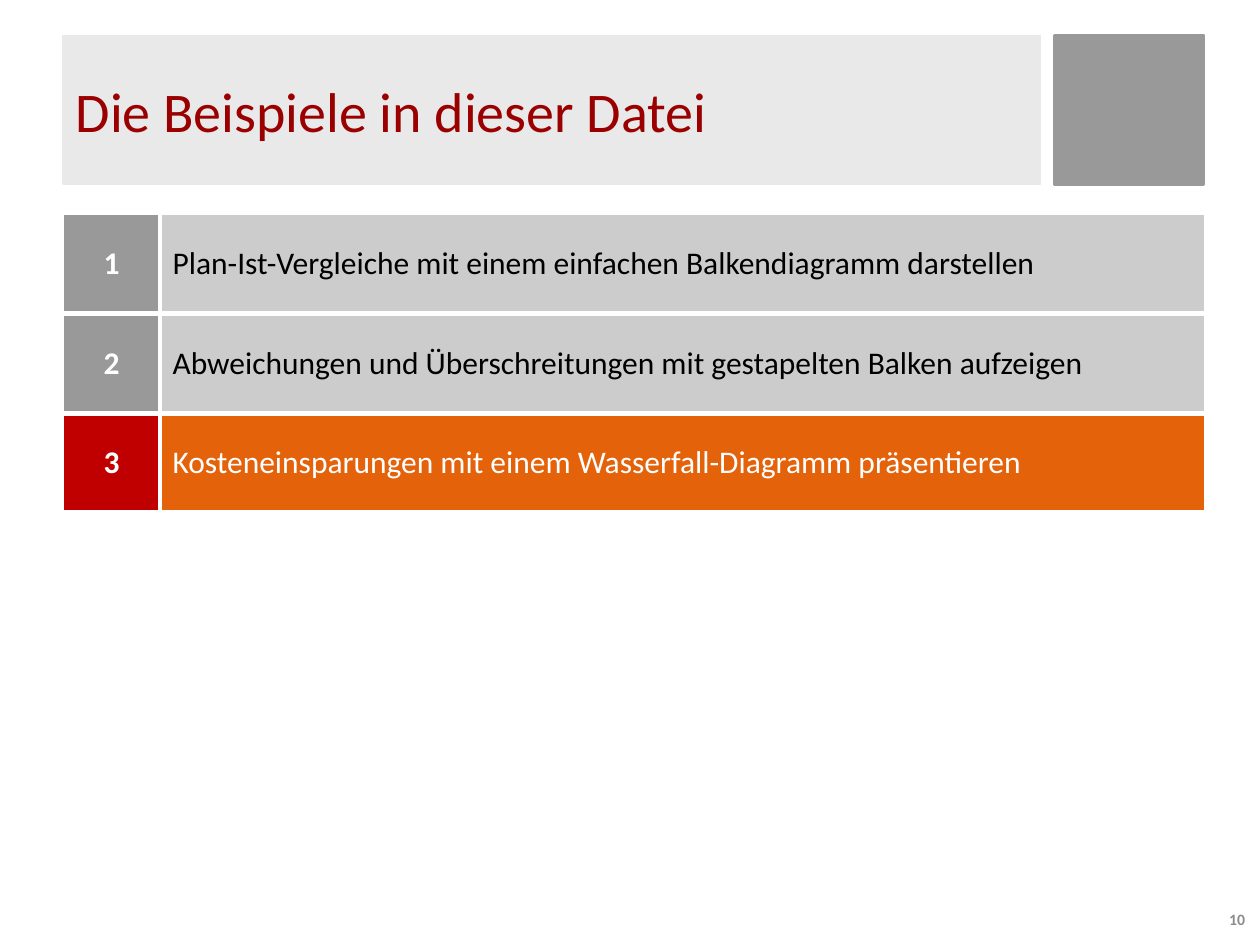
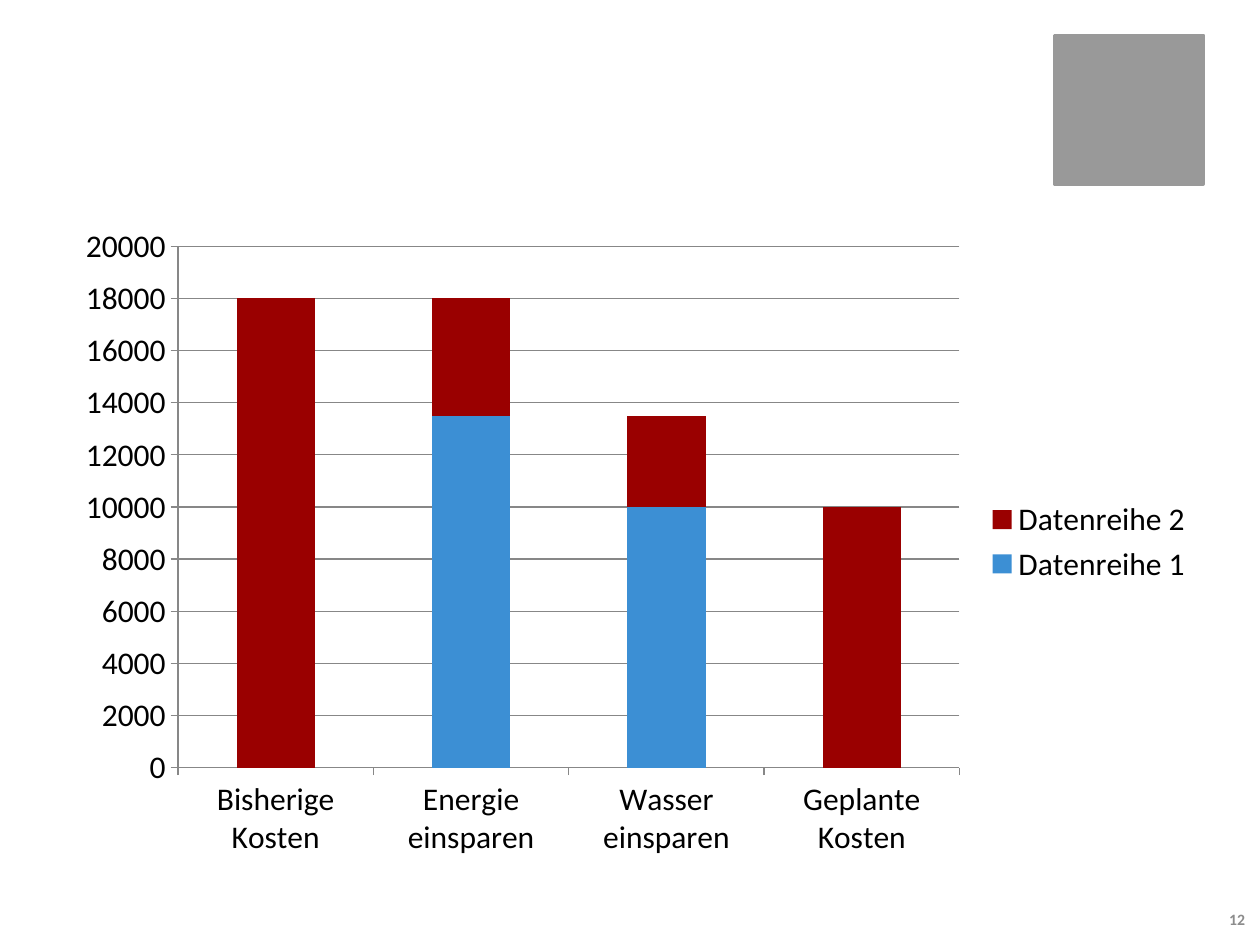
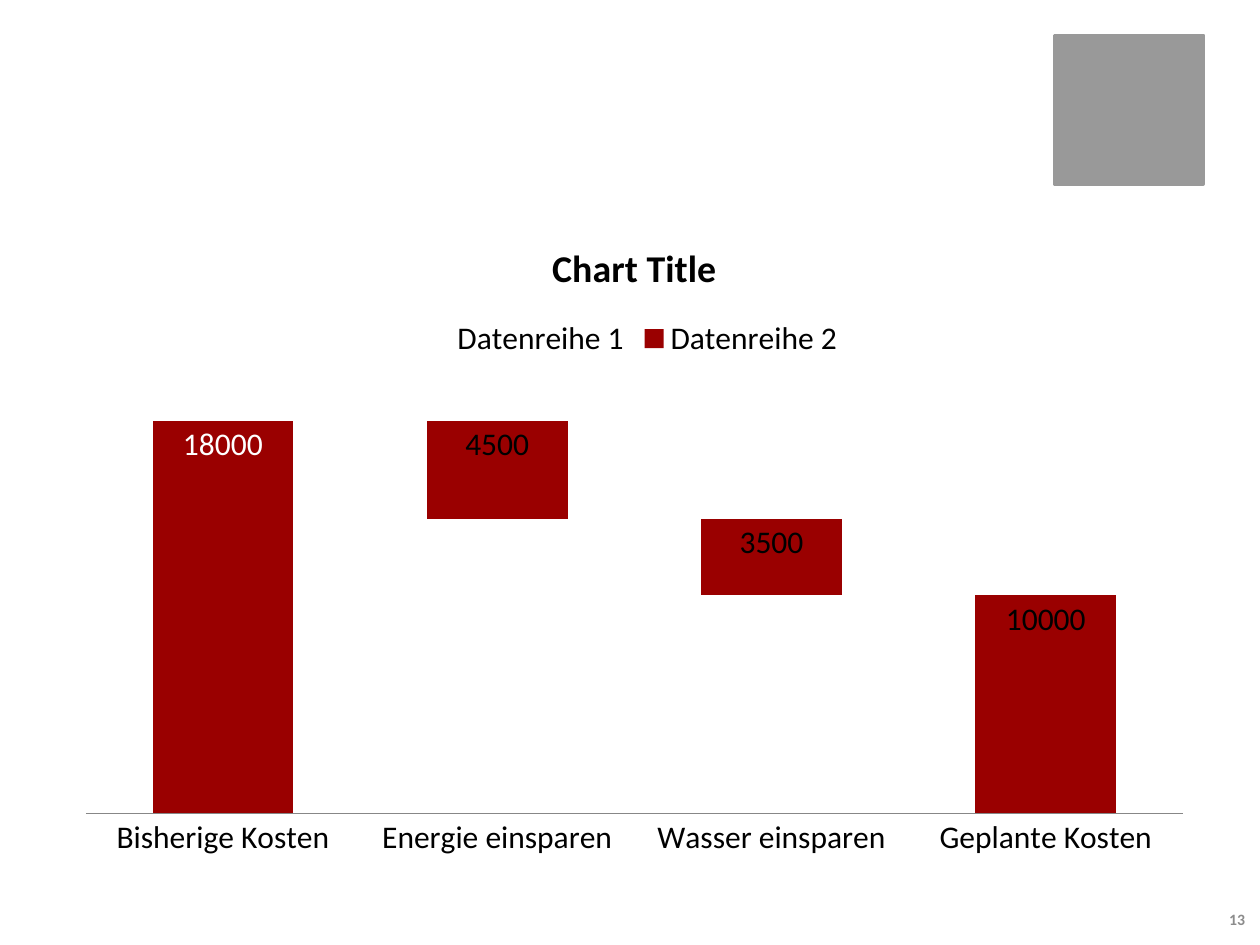
from dataclasses import dataclass

from lxml import etree
from pptx import Presentation
from pptx.chart.data import CategoryChartData
from pptx.dml.color import RGBColor
from pptx.enum.chart import XL_CHART_TYPE, XL_LABEL_POSITION, XL_LEGEND_POSITION, XL_TICK_MARK
from pptx.enum.shapes import MSO_SHAPE
from pptx.enum.text import MSO_ANCHOR, PP_ALIGN
from pptx.oxml.ns import qn
from pptx.util import Inches, Pt

STACKED = XL_CHART_TYPE.COLUMN_STACKED
INSIDE_END = XL_LABEL_POSITION.INSIDE_END
LEGEND_RIGHT, LEGEND_TOP = XL_LEGEND_POSITION.RIGHT, XL_LEGEND_POSITION.TOP
TICK_NONE, TICK_OUT = XL_TICK_MARK.NONE, XL_TICK_MARK.OUTSIDE
RECT = MSO_SHAPE.RECTANGLE
MIDDLE = MSO_ANCHOR.MIDDLE
LEFT, CENTER, RIGHT = PP_ALIGN.LEFT, PP_ALIGN.CENTER, PP_ALIGN.RIGHT
TITLE_ONLY, BLANK = 5, 6


@dataclass(frozen=True)
class Theme:
    font: str = "Calibri"
    red: str = "9A0000"
    bright_red: str = "C00000"
    orange: str = "E3620A"
    blue: str = "3C8FD4"
    black: str = "000000"
    white: str = "FFFFFF"
    dark_grey: str = "999999"
    mid_grey: str = "CCCCCC"
    light_grey: str = "E9E9E9"
    number_grey: str = "8C8C8C"
    axis_grey: str = "878787"
    title_size: float = 32
    chart_title_size: float = 21.6
    text_size: float = 18
    number_size: float = 9


THEME = Theme()
TITLE_BOX = (0.5, 0.28, 7.76, 1.18)
SQUARE_BOX = (8.37, 0.28, 1.18, 1.18)
CONTENT_BOX = (0.5, 1.7, 9.07, 5.2)
NUMBER_BOX = (9.18, 7.14, 0.8, 0.31)

AGENDA = [
    "Plan-Ist-Vergleiche mit einem einfachen Balkendiagramm darstellen",
    "Abweichungen und Überschreitungen mit gestapelten Balken aufzeigen",
    "Kosteneinsparungen mit einem Wasserfall-Diagramm präsentieren",
]
CURRENT_TOPIC = 3
AGENDA_COLUMNS = (0.77, 8.29)
AGENDA_ROW = 0.79

COST_STEPS = ["Bisherige Kosten", "Energie einsparen", "Wasser einsparen", "Geplante Kosten"]
COST_SERIES = {
    "Datenreihe 1": (0, 13500, 10000, 0),
    "Datenreihe 2": (18000, 4500, 3500, 10000),
}


def inches(box):
    return [Inches(v) for v in box]


def rgb(value):
    return RGBColor.from_string(value)


def apply(target, **values):
    for name, value in values.items():
        setattr(target, name, value)


def style_font(font, size, color, bold=False):
    apply(font, name=THEME.font, size=Pt(size), bold=bold)
    font.color.rgb = rgb(color)


def fill_solid(target, color):
    target.fill.solid()
    target.fill.fore_color.rgb = rgb(color)


def paint(sp, color, line_width):
    fill_solid(sp, color)
    sp.line.color.rgb = rgb(color)
    sp.line.width = Pt(line_width)


def write(tf, text, size, color, align=LEFT, bold=False):
    p = tf.paragraphs[0]
    p.alignment = align
    r = p.add_run()
    r.text = text
    style_font(r.font, size, color, bold)


def add_slide(prs, layout, number):
    s = prs.slides.add_slide(prs.slide_layouts[layout])
    sp = s.shapes.add_shape(RECT, *inches(SQUARE_BOX))
    sp.shadow.inherit = False
    paint(sp, THEME.dark_grey, 2)
    tf = s.shapes.add_textbox(*inches(NUMBER_BOX)).text_frame
    apply(tf, word_wrap=True, vertical_anchor=MIDDLE)
    write(tf, str(number), THEME.number_size, THEME.number_grey, RIGHT, True)
    return s


def add_title(s, text):
    sp = s.shapes.title
    left, top, width, height = inches(TITLE_BOX)
    apply(sp, left=left, top=top, width=width, height=height)
    paint(sp, THEME.light_grey, 0.75)
    sp.text_frame.vertical_anchor = MIDDLE
    write(sp.text_frame, text, THEME.title_size, THEME.red)


def set_borders(cell, **widths):
    tc_pr = cell._tc.get_or_add_tcPr()
    for i, (side, width) in enumerate(widths.items()):
        ln = etree.Element(qn(f"a:ln{side}"), w=str(Pt(width)))
        solid = etree.SubElement(ln, qn("a:solidFill"))
        etree.SubElement(solid, qn("a:srgbClr"), val=THEME.white)
        tc_pr.insert(i, ln)


def add_agenda(s, topics, current):
    left, top, width, _ = inches(CONTENT_BOX)
    rows = len(topics)
    table = s.shapes.add_table(rows, 2, left, top, width, Inches(AGENDA_ROW * rows)).table
    apply(table, first_row=False, horz_banding=False)
    for column, column_width in zip(table.columns, AGENDA_COLUMNS):
        column.width = Inches(column_width)
    for number, topic in enumerate(topics, 1):
        table.rows[number - 1].height = Inches(AGENDA_ROW)
        active = number == current
        formats = [
            (str(number), THEME.bright_red if active else THEME.dark_grey,
             THEME.white, CENTER, True),
            (topic, THEME.orange if active else THEME.mid_grey,
             THEME.white if active else THEME.black, LEFT, False),
        ]
        for col, (text, fill, color, align, bold) in enumerate(formats):
            cell = table.cell(number - 1, col)
            cell.vertical_anchor = MIDDLE
            fill_solid(cell, fill)
            write(cell.text_frame, text, THEME.text_size, color, align, bold)
            set_borders(cell, L=3 if col else 1, R=1 if col else 3,
                        T=1 if number == 1 else 3, B=3)


def add_cost_chart(s, colors, gap, legend, tick):
    data = CategoryChartData()
    data.categories = COST_STEPS
    for name, values in COST_SERIES.items():
        data.add_series(name, values)
    chart = s.shapes.add_chart(STACKED, *inches(CONTENT_BOX), data).chart
    style_font(chart.font, THEME.text_size, THEME.black)
    apply(chart, has_title=False, has_legend=True)
    apply(chart.legend, position=legend, include_in_layout=False)
    plot = chart.plots[0]
    apply(plot, gap_width=gap, overlap=100, vary_by_categories=False)
    for series, color in zip(plot.series, colors):
        if color:
            fill_solid(series.format, color)
        else:
            series.format.fill.background()
    for axis in (chart.category_axis, chart.value_axis):
        apply(axis, major_tick_mark=tick, minor_tick_mark=TICK_NONE)
        axis.format.line.color.rgb = rgb(THEME.axis_grey)
    apply(chart.value_axis, minimum_scale=0, maximum_scale=20000, major_unit=2000)
    return chart


def add_stacked_chart(s):
    chart = add_cost_chart(s, (THEME.blue, THEME.red), 150, LEGEND_RIGHT, TICK_OUT)
    chart.value_axis.major_gridlines.format.line.color.rgb = rgb(THEME.axis_grey)


def add_waterfall_chart(s):
    chart = add_cost_chart(s, (None, THEME.red), 95, LEGEND_TOP, TICK_NONE)
    chart.has_title = True
    write(chart.chart_title.text_frame, "Chart Title", THEME.chart_title_size,
          THEME.black, CENTER, True)
    chart.chart_title.include_in_layout = False
    apply(chart.value_axis, visible=False, has_major_gridlines=False)
    series = chart.plots[0].series[1]
    apply(series.data_labels, show_value=True, position=INSIDE_END)
    style_font(series.data_labels.font, THEME.text_size, THEME.black)
    first_label = series.points[0].data_label
    style_font(first_label.font, THEME.text_size, THEME.white)
    first_label.position = INSIDE_END


def main():
    prs = Presentation()
    apply(prs, slide_width=Inches(10), slide_height=Inches(7.5))
    s = add_slide(prs, TITLE_ONLY, 10)
    add_title(s, "Die Beispiele in dieser Datei")
    add_agenda(s, AGENDA, CURRENT_TOPIC)
    add_stacked_chart(add_slide(prs, BLANK, 12))
    add_waterfall_chart(add_slide(prs, BLANK, 13))
    prs.save("out.pptx")


if __name__ == "__main__":
    main()
